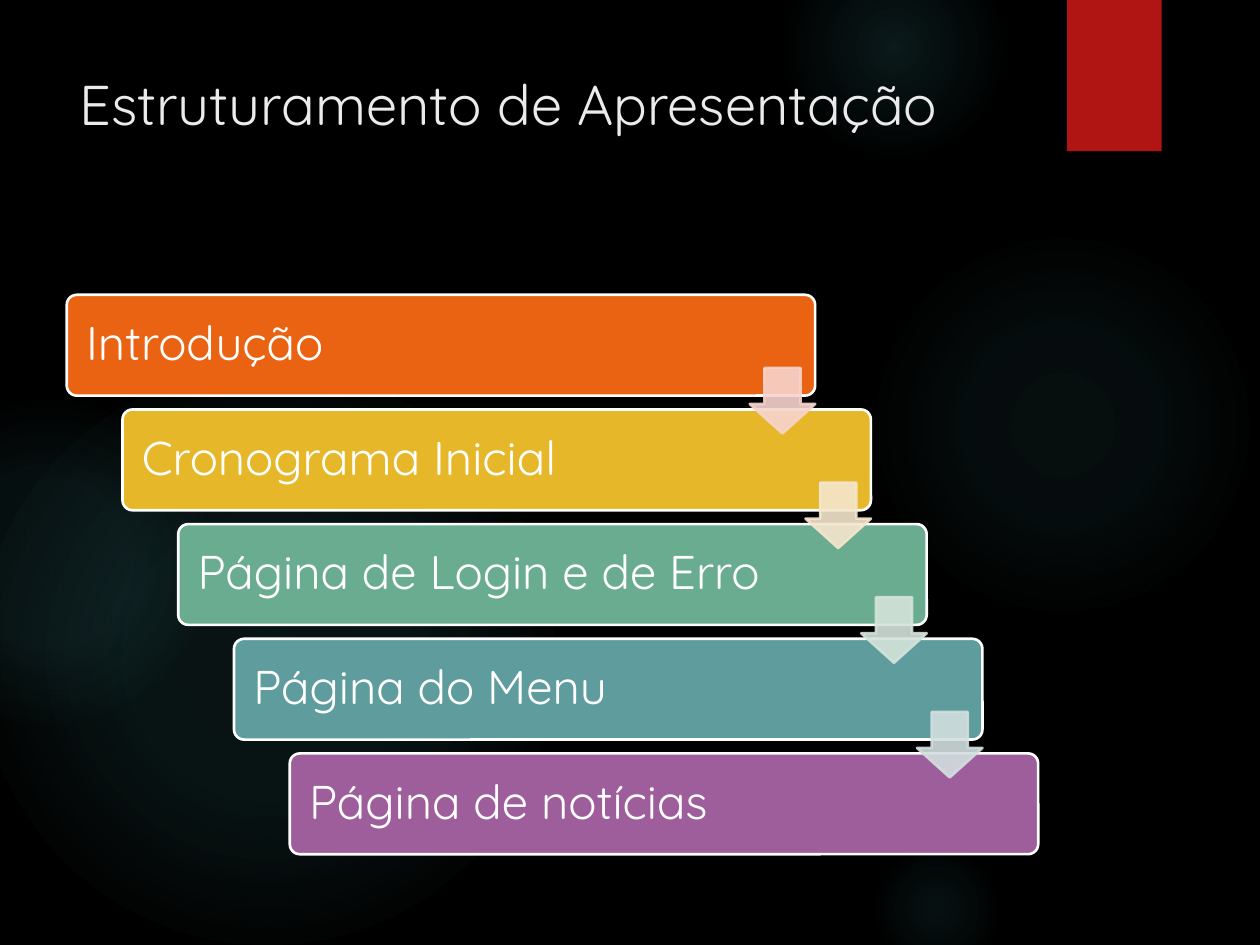
from lxml import etree
from pptx import Presentation
from pptx import util as u
from pptx.dml.color import RGBColor
from pptx.enum import shapes, text
from pptx.oxml import parse_xml
from pptx.oxml.ns import nsdecls, qn

TITLE = "Estruturamento de Apresentação"
STEPS = [  # label, fill, colour of the arrow to the next step
    ("Introdução", "EA6312", "F7D3CC"),
    ("Cronograma Inicial", "E6B729", "F5E6CD"),
    ("Página de Login e de Erro", "6AAC90", "D4E3DB"),
    ("Página do Menu", "5F9C9D", "D2DEDF"),
    ("Página de notícias", "9E5E9B", None),
]
GLOWS = [  # left, top, diameter, (position, opacity) stops in percent
    (6.89, 1.83, 3.08, [(0, 7), (36, 6), (69, 0)]),
    (6.22, -0.5, 1.75, [(0, 14), (36, 7), (73, 0)]),
    (6.89, 6.67, 1.08, [(0, 9), (36, 5), (66, 0)]),
    (-0.17, 2.92, 4.58, [(0, 11), (36, 10), (75, 0)]),
    (-0.92, 3.17, 2.58, [(0, 8), (36, 8), (72, 0)]),
]
FONT = "Quicksand"
GLOW_COLOUR = "50B9C1"
LEFT, WIDTH = 0.53, 7.71
STAIR_TOP, STAIR_HEIGHT = 2.34, 4.44
BAR_WIDTH, BAR_HEIGHT = 5.94, 0.8
ARROW_SIZE, ARROW_DROP = 0.52, 0.58
ARROW_OPACITY = 90


def colour(value):
    return RGBColor.from_string(value)


def place(shape, left, top, width, height):
    shape.left, shape.top = u.Inches(left), u.Inches(top)
    shape.width, shape.height = u.Inches(width), u.Inches(height)


def add_shape(page, kind, box, fill=None, line=None, adjustments=()):
    shape = page.shapes.add_shape(kind, *(u.Inches(length) for length in box))
    shape.shadow.inherit = False
    for index, value in enumerate(adjustments):
        shape.adjustments[index] = value
    if fill:
        shape.fill.solid()
        shape.fill.fore_color.rgb = colour(fill)
    if line:
        shape.line.color.rgb = colour(line)
        shape.line.width = u.Pt(1.5)
    else:
        shape.line.fill.background()
    return shape


def write(shape, words, size, hue, anchor, margins=(0.1, 0.05), spacing=None):
    frame = shape.text_frame
    frame.word_wrap = True
    frame.auto_size = text.MSO_AUTO_SIZE.NONE
    frame.vertical_anchor = anchor
    frame.margin_left = frame.margin_right = u.Inches(margins[0])
    frame.margin_top = frame.margin_bottom = u.Inches(margins[1])
    para = frame.paragraphs[0]
    para.alignment = text.PP_ALIGN.LEFT
    para.line_spacing = spacing
    span = para.add_run()
    span.text = words
    span.font.name, span.font.size = FONT, u.Pt(size)
    span.font.color.rgb = colour(hue)


def add_glow(page, left, top, diameter, stops):
    """Add a circle whose radial gradient fades out to transparent."""
    glow = add_shape(page, shapes.MSO_SHAPE.OVAL, (left, top, diameter, diameter))
    stop_xml = "".join(
        f'<a:gs pos="{position * 1000}"><a:srgbClr val="{GLOW_COLOUR}">'
        f'<a:alpha val="{opacity * 1000}"/></a:srgbClr></a:gs>'
        for position, opacity in stops)
    gradient = parse_xml(
        f'<a:gradFill {nsdecls("a")} rotWithShape="1"><a:gsLst>{stop_xml}</a:gsLst>'
        '<a:path path="circle"><a:fillToRect l="50000" t="50000" r="50000" b="50000"/>'
        '</a:path></a:gradFill>')
    glow._element.spPr.find(qn("a:prstGeom")).addnext(gradient)


def add_arrow(page, left, top, hue):
    arrow = add_shape(page, shapes.MSO_SHAPE.DOWN_ARROW,
                      (left, top, ARROW_SIZE, ARROW_SIZE), hue, hue, (0.55, 0.45))
    for paint in arrow._element.spPr.iter(qn("a:srgbClr")):
        etree.SubElement(paint, qn("a:alpha"), val=str(ARROW_OPACITY * 1000))


def add_stairs(page):
    gaps = len(STEPS) - 1
    step_x = (WIDTH - BAR_WIDTH) / gaps
    step_y = (STAIR_HEIGHT - BAR_HEIGHT) / gaps
    corners = [(LEFT + i * step_x, STAIR_TOP + i * step_y) for i in range(len(STEPS))]
    for (left, top), (label, fill, _) in zip(corners, STEPS):
        bar = add_shape(page, shapes.MSO_SHAPE.ROUNDED_RECTANGLE,
                        (left, top, BAR_WIDTH, BAR_HEIGHT), fill, "FFFFFF", (0.1,))
        write(bar, label, 27, "FFFFFF", text.MSO_ANCHOR.MIDDLE,
              margins=(0.13, 0.13), spacing=0.9)
    for (left, top), (_, _, hue) in zip(corners, STEPS):
        if hue:
            add_arrow(page, left + BAR_WIDTH - ARROW_SIZE, top + ARROW_DROP, hue)


def main():
    deck = Presentation()
    deck.slide_width, deck.slide_height = u.Inches(10), u.Inches(7.5)
    page = deck.slides.add_slide(deck.slide_layouts[5])
    page.background.fill.solid()
    page.background.fill.fore_color.rgb = colour("000000")
    for glow in GLOWS:
        add_glow(page, *glow)
    add_shape(page, shapes.MSO_SHAPE.RECTANGLE, (8.47, 0, 0.75, 1.2), "B01513")
    title = page.shapes.title
    page.shapes._spTree.append(title._element)  # bring in front of the glows
    place(title, LEFT, 0.5, WIDTH, 0.94)
    write(title, TITLE, 32, "EBEBEB", text.MSO_ANCHOR.TOP)
    add_stairs(page)
    deck.save("out.pptx")


if __name__ == "__main__":
    main()
